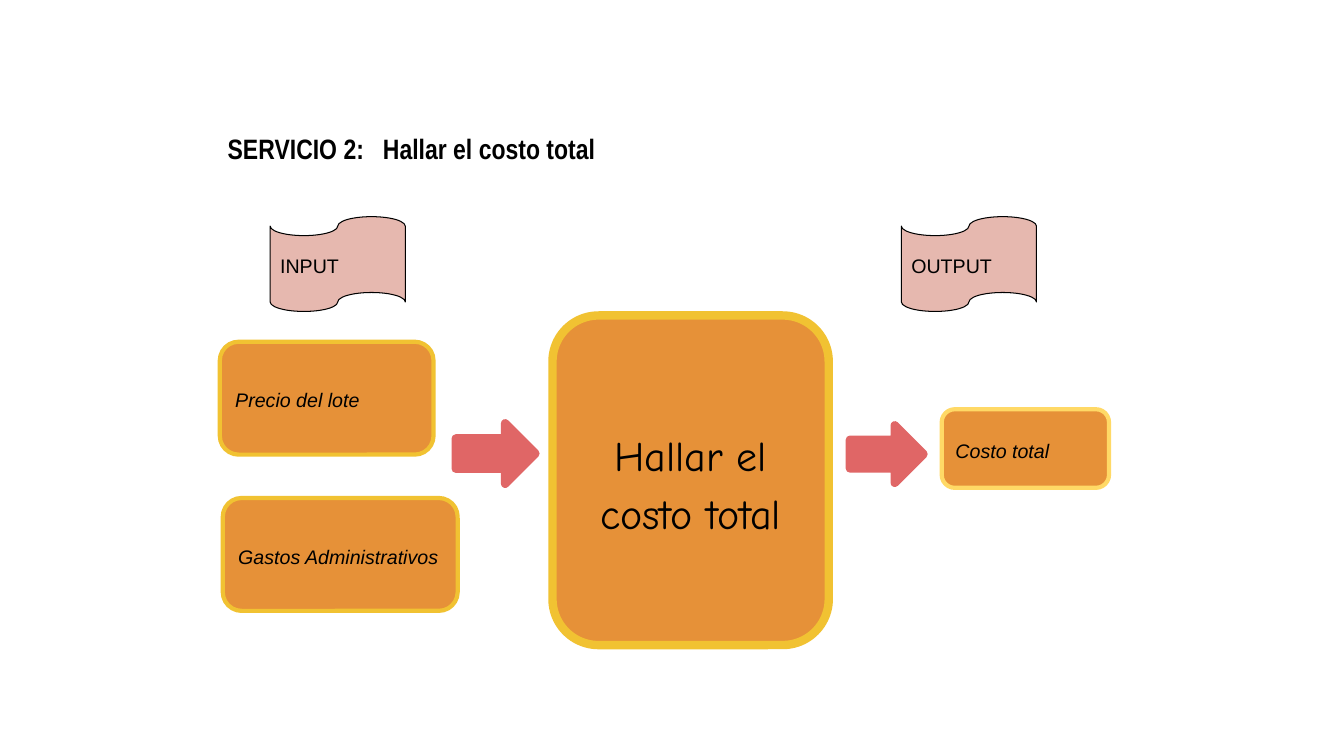
"""Build a slide showing the inputs, process and output of the total cost service."""
from dataclasses import dataclass

from lxml import etree
from pptx import Presentation, util as u
from pptx.dml import color
from pptx.enum import shapes, text
from pptx.oxml import ns

COLORS = {
    "text": "000000",
    "flag": "E6B8AF",
    "box": "E69138",
    "gold": "F1C232",
    "pale_gold": "FFD966",
    "arrow": "E06666",
}
INSET = 0.1
LINE_SPACING = 1.15
HEADING_TAB = 1.54


@dataclass(frozen=True)
class Label:
    content: str
    size: int = 14
    font: str = "Arial"
    bold: bool = False
    italic: bool = False
    centered: bool = False


@dataclass(frozen=True)
class Block:
    kind: shapes.MSO_SHAPE
    left: float
    top: float
    width: float
    height: float
    fill: str
    line: str
    line_width: float
    label: Label | None = None


def rgb(name: str) -> color.RGBColor:
    return color.RGBColor.from_string(COLORS[name])


def write_label(shape, label: Label, anchor: text.MSO_ANCHOR) -> None:
    frame = shape.text_frame
    frame.word_wrap = True
    frame.vertical_anchor = anchor
    frame.margin_left = frame.margin_right = u.Inches(INSET)
    frame.margin_top = frame.margin_bottom = u.Inches(INSET)
    frame.text = label.content
    paragraph = frame.paragraphs[0]
    paragraph.alignment = text.PP_ALIGN.CENTER if label.centered else text.PP_ALIGN.LEFT
    paragraph.line_spacing = LINE_SPACING
    for run in paragraph.runs:
        run.font.name = label.font
        run.font.size = u.Pt(label.size)
        run.font.bold = label.bold
        run.font.italic = label.italic
        run.font.color.rgb = rgb("text")


def add_block(slide, block: Block) -> None:
    bounds = [u.Inches(n) for n in (block.left, block.top, block.width, block.height)]
    shape = slide.shapes.add_shape(block.kind, *bounds)
    shape.shadow.inherit = False
    shape.fill.solid()
    shape.fill.fore_color.rgb = rgb(block.fill)
    shape.line.color.rgb = rgb(block.line)
    shape.line.width = u.Pt(block.line_width)
    if block.label:
        write_label(shape, block.label, text.MSO_ANCHOR.MIDDLE)


def add_heading(slide) -> None:
    box = slide.shapes.add_textbox(
        u.Inches(2.16), u.Inches(1.15), u.Inches(9.83), u.Inches(0.79)
    )
    heading = Label("SERVICIO 2:\tHallar el costo total", 20, "Arial Narrow", bold=True)
    write_label(box, heading, text.MSO_ANCHOR.TOP)
    properties = box.text_frame.paragraphs[0]._p.get_or_add_pPr()
    tabs = etree.SubElement(properties, ns.qn("a:tabLst"))
    etree.SubElement(
        tabs, ns.qn("a:tab"), pos=str(u.Inches(HEADING_TAB)), algn="l"
    )


def flag(left: float, content: str) -> Block:
    return Block(shapes.MSO_SHAPE.FLOWCHART_PUNCHED_TAPE, left, 2.15, 1.34, 0.94,
                 "flag", "text", 0.75, Label(content))


def data_box(left: float, top: float, width: float, height: float,
             content: str, line: str = "gold") -> Block:
    return Block(shapes.MSO_SHAPE.ROUNDED_RECTANGLE, left, top, width, height,
                 "box", line, 3, Label(content, italic=True))


def arrow(left: float, top: float, width: float, height: float) -> Block:
    return Block(shapes.MSO_SHAPE.RIGHT_ARROW, left, top, width, height,
                 "arrow", "arrow", 6)


BLOCKS = [
    flag(2.68, "INPUT"),
    flag(8.94, "OUTPUT"),
    Block(shapes.MSO_SHAPE.ROUNDED_RECTANGLE, 5.48, 3.13, 2.74, 3.27, "box", "gold", 6,
          Label("Hallar el costo total", 30, "Comic Neue", centered=True)),
    data_box(2.18, 3.39, 2.12, 1.12, "Precio del lote"),
    data_box(9.34, 4.06, 1.66, 0.78, "Costo total", "pale_gold"),
    data_box(2.21, 4.94, 2.33, 1.12, "Gastos Administrativos"),
    arrow(8.43, 4.22, 0.73, 0.57),
    arrow(4.52, 4.2, 0.79, 0.6),
]


def main() -> None:
    presentation = Presentation()
    presentation.slide_width = u.Inches(13.33)
    presentation.slide_height = u.Inches(7.5)
    slide = presentation.slides.add_slide(presentation.slide_layouts[6])
    add_heading(slide)
    for block in BLOCKS:
        add_block(slide, block)
    presentation.save("out.pptx")


if __name__ == "__main__":
    main()
